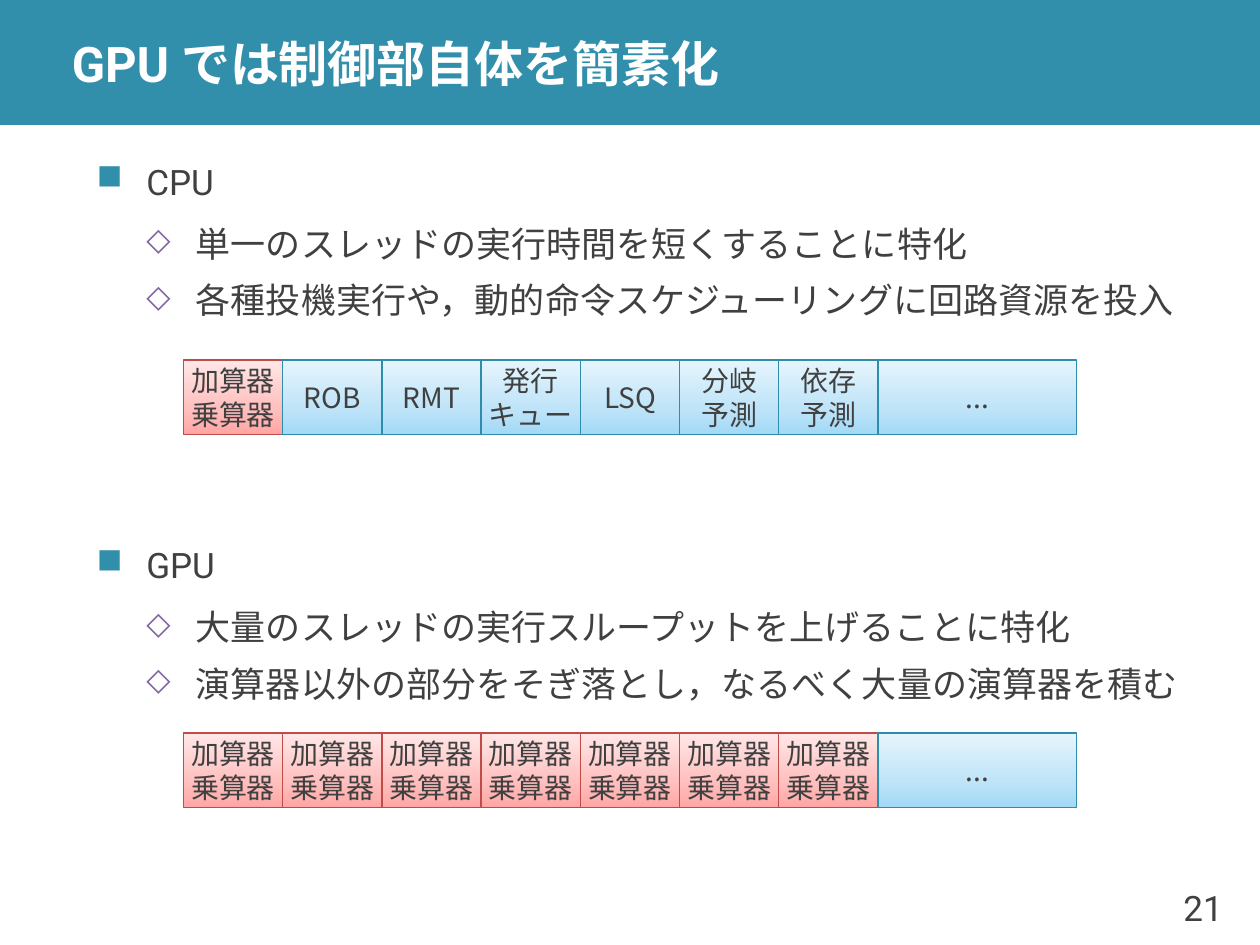
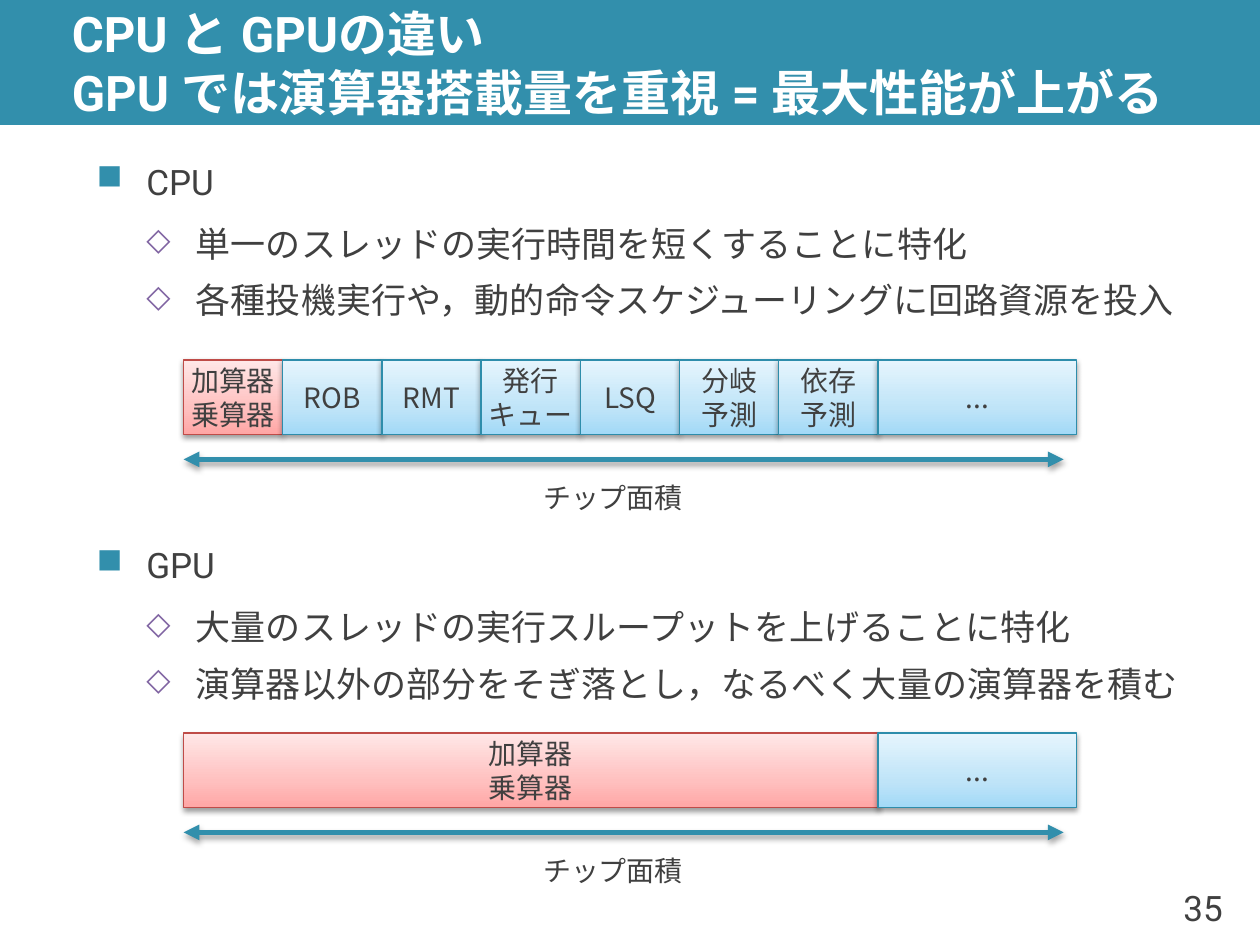
from dataclasses import dataclass

from lxml.etree import SubElement
from pptx import Presentation
from pptx.dml.color import RGBColor as Rgb
from pptx.enum.shapes import MSO_CONNECTOR as Link, MSO_SHAPE as Form
from pptx.enum.text import MSO_ANCHOR as Anchor, PP_ALIGN as Align
from pptx.oxml.ns import qn
from pptx.util import Cm, Pt


@dataclass(frozen=True)
class Theme:
    teal: str = "328FAC"
    white: str = "FFFFFF"
    ink: str = "404040"
    violet: str = "8064A2"
    red: tuple = ("BF4C48", "FFA6A5", "FFC0BF", "FFE7E7")
    blue: tuple = ("2E8DAB", "A2D9F7", "BFE4F8", "E6F5FD")
    sans: str = "Roboto"
    gothic: str = "Noto Sans CJK JP"
    head: int = 28
    body: int = 20
    small: int = 16


THEME = Theme()
LEFT = 3.7
UNIT = 2
HIGH = 1.5
ROWS = (7.26, 14.78)
GAP = 122  # points left free above the GPU topic for the first row of blocks

CALC = "加算器\n乗算器"
CPU = [(CALC, 1, THEME.red)] + [
    (name, 1, THEME.blue)
    for name in ("ROB", "RMT", "発行\nキュー", "LSQ", "分岐\n予測", "依存\n予測")
]
REST = ("...", 2, THEME.blue)
TOPICS = {
    "CPU": (
        "単一のスレッドの実行時間を短くすることに特化",
        "各種投機実行や，動的命令スケジューリングに回路資源を投入",
    ),
    "GPU": (
        "大量のスレッドの実行スループットを上げることに特化",
        "演算器以外の部分をそぎ落とし，なるべく大量の演算器を積む",
    ),
}


def node(parent, tag, **attrs):
    item = SubElement(parent, qn("a:" + tag))
    for key, value in attrs.items():
        item.set(key, str(value))
    return item


def write(frame, text, size=THEME.body, font=THEME.sans, color=THEME.ink,
          bold=False, align=Align.LEFT, more=False):
    """Write each line of text as a paragraph; return the last one."""
    for num, line in enumerate(text.split("\n")):
        para = frame.add_paragraph() if num or more else frame.paragraphs[0]
        para.alignment = align
        run = para.add_run()
        run.text = line
        face = run.font
        face.size, face.bold, face.name = Pt(size), bold, font
        face.color.rgb = Rgb.from_string(color)
        # The Latin face also sets the line height of Japanese text.
        node(run._r.get_or_add_rPr(), "ea", typeface=THEME.sans)
    return para


def label(slide, box, text, anchor=Anchor.MIDDLE, wrap=True, **style):
    shape = slide.shapes.add_textbox(*map(Cm, box))
    frame = shape.text_frame
    frame.word_wrap, frame.vertical_anchor = wrap, anchor
    write(frame, text, **style)
    return frame


def shade(props, alpha, dist):
    """Add a soft shadow that falls straight down."""
    effects = props.find(qn("a:effectLst"))
    if effects is None:
        effects = node(props, "effectLst")
    drop = node(effects, "outerShdw", blurRad=40000, dist=dist,
                dir=5400000, rotWithShape=0)
    tone = node(drop, "srgbClr", val="000000")
    node(tone, "alpha", val=alpha * 1000)


def blend(fill, colors):
    """Fill with a three-stop gradient running upwards."""
    fill.gradient()
    fill.gradient_angle = 90
    stops = fill._xPr.find(qn("a:gradFill")).find(qn("a:gsLst"))
    for stop in list(stops):
        stops.remove(stop)
    for place, color in zip((0, 35, 100), colors):
        node(node(stops, "gs", pos=place * 1000), "srgbClr", val=color)


def block(slide, left, top, width, text, tones, raised):
    shape = slide.shapes.add_shape(
        Form.RECTANGLE, Cm(left), Cm(top), Cm(width), Cm(HIGH))
    shape.shadow.inherit = False
    edge, *colors = tones
    blend(shape.fill, colors)
    shape.line.color.rgb = Rgb.from_string(edge)
    shape.line.width = Pt(0.75)
    if raised:
        shade(shape._element.spPr, 38, 20000)
    frame = shape.text_frame
    frame.word_wrap, frame.vertical_anchor = False, Anchor.MIDDLE
    write(frame, text, size=THEME.small, font=THEME.gothic, align=Align.CENTER)


def strip(slide, top, parts, raised):
    """Lay blocks side by side, each a number of units wide."""
    left = LEFT
    for text, span, tones in parts:
        block(slide, left, top, span * UNIT, text, tones, raised)
        left += span * UNIT


def span(slide, top):
    """Draw the chip area arrow and its caption below a strip."""
    level = Cm(top + 2)
    line = slide.shapes.add_connector(
        Link.STRAIGHT, Cm(LEFT), level, Cm(21.44), level)
    line.line.color.rgb = Rgb.from_string(THEME.teal)
    line.line.width = Pt(3)
    for end in ("headEnd", "tailEnd"):
        node(line.line._ln, end, type="triangle")
    shade(line._element.spPr, 35, 23000)
    label(slide, (10.7, top + 2.26, 3.4, 1), "チップ面積", wrap=False,
          size=THEME.small, font=THEME.gothic)


def bullet(para, mark, color, indent, size, before, after):
    para.line_spacing = 1.1
    para.space_before, para.space_after = Pt(before), Pt(after)
    props = para._p.get_or_add_pPr()
    props.set("marL", str(Cm(indent)))
    props.set("indent", str(-Cm(1)))
    node(node(props, "buClr"), "srgbClr", val=color)
    node(props, "buSzPct", val=size * 1000)
    node(props, "buChar", char=mark)


def outline(slide):
    shape = slide.shapes.add_textbox(Cm(1.7), Cm(3.02), Cm(23), Cm(14.5))
    frame = shape.text_frame
    frame.word_wrap = True
    for num, (topic, points) in enumerate(TOPICS.items()):
        para = write(frame, topic, more=num > 0)
        bullet(para, "■", THEME.teal, 1, 100, num * GAP, 6)
        for point in points:
            para = write(frame, point, more=True)
            para.level = 1
            bullet(para, "◇", THEME.violet, 2, 90, 3, 3)


def page(deck, title, number):
    """Add a slide with the band, title, number and outline."""
    slide = deck.slides.add_slide(deck.slide_layouts[6])
    band = slide.shapes.add_shape(
        Form.RECTANGLE, 0, 0, deck.slide_width, Cm(2.52))
    band.shadow.inherit = False
    band.fill.solid()
    band.fill.fore_color.rgb = Rgb.from_string(THEME.teal)
    band.line.fill.background()
    label(slide, (23.2, 17.53, 1.7, 1.52), str(number), align=Align.RIGHT)
    frame = label(slide, (1.2, 0, 24.2, 2.52), title, size=THEME.head,
                  color=THEME.white, bold=True)
    frame.margin_top = frame.margin_bottom = 0
    outline(slide)
    return slide


def main():
    deck = Presentation()
    deck.slide_width, deck.slide_height = Cm(25.4), Cm(19.05)

    plain = page(deck, "GPU では制御部自体を簡素化", 21)
    many = [(CALC, 1, THEME.red)] * 7
    for top, parts in zip(ROWS, (CPU, many)):
        strip(plain, top, parts + [REST], raised=False)

    title = "CPU と GPUの違い\nGPU では演算器搭載量を重視 = 最大性能が上がる"
    area = page(deck, title, 35)
    wide = [(CALC, 7, THEME.red)]
    for top, parts in zip(ROWS, (CPU, wide)):
        strip(area, top, parts + [REST], raised=True)
        span(area, top)

    deck.save("out.pptx")


if __name__ == "__main__":
    main()
